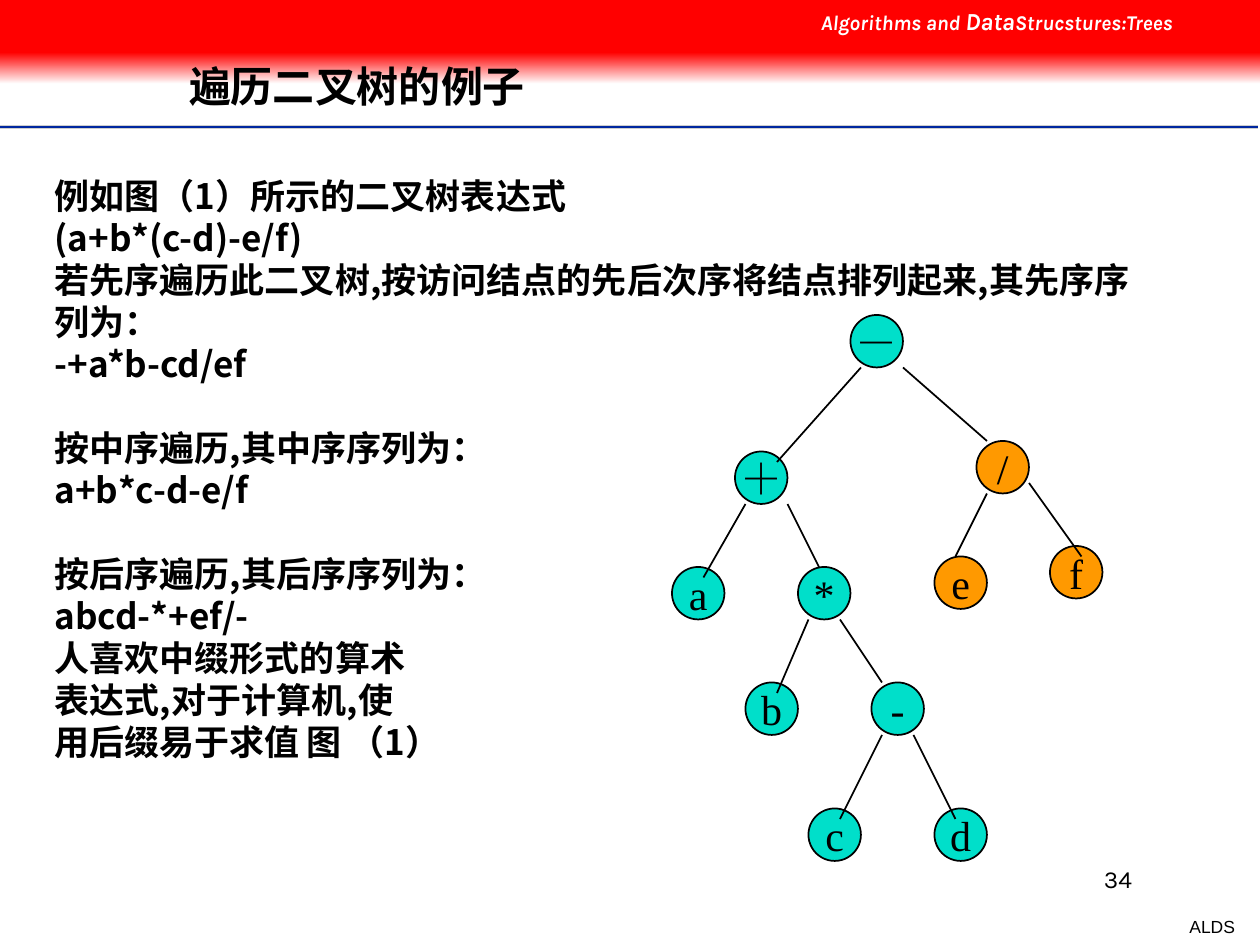
from dataclasses import dataclass

from lxml.etree import SubElement as Sub
from pptx import Presentation
from pptx.dml.color import RGBColor as Rgb
from pptx.enum.shapes import MSO_CONNECTOR as Conn, MSO_SHAPE as Geo
from pptx.enum.text import MSO_ANCHOR as Anchor, MSO_AUTO_SIZE as Auto, PP_ALIGN as Align
from pptx.oxml.ns import qn
from pptx.util import Pt

TEAL, GOLD, RED = "00DFCA", "FF9900", "FF0000"
BLACK, WHITE = "000000", "FFFFFF"
SANS = "Noto Sans CJK SC"
SIZE = 30


@dataclass
class Node:
    text: str
    x: float
    y: float
    fill: str = TEAL


@dataclass
class Edge:
    x1: float
    y1: float
    x2: float
    y2: float
    color: str = BLACK
    width: float = 1


NODES = [
    Node("－", 486, 180), Node("＋", 420, 258), Node("*", 456, 324),
    Node("a", 384, 324), Node("/", 558, 252, GOLD), Node("b", 426, 390),
    Node("-", 498, 390), Node("d", 534, 462), Node("c", 462, 462),
    Node("f", 600, 312, GOLD), Node("e", 534, 318, GOLD),
]
EDGES = [
    Edge(492, 210, 444, 264), Edge(426, 288, 402, 330), Edge(450, 288, 468, 324),
    Edge(462, 354, 444, 396), Edge(480, 354, 504, 390), Edge(522, 420, 546, 468),
    Edge(504, 420, 480, 468), Edge(516, 210, 564, 252), Edge(564, 282, 546, 318),
    Edge(588, 276, 618, 318),
]
RULES = [
    Edge(0, 72.7, 718.6, 72.7, "CECECE", 2),
    Edge(0, 72.7, 718.6, 72.7, "00279F"),
    Edge(0, 74.2, 718.6, 74.2, WHITE),
]
BLOCKS = [
    ["例如图（1）所示的二叉树表达式", "(a+b*(c-d)-e/f)",
     "若先序遍历此二叉树,按访问结点的先后次序将结点排列起来,其先序序列为：", "-+a*b-cd/ef"],
    ["按中序遍历,其中序序列为：", "a+b*c-d-e/f"],
    ["按后序遍历,其后序序列为：", "abcd-*+ef/-", "人喜欢中缀形式的算术",
     "表达式,对于计算机,使", "用后缀易于求值\t图 （1）"],
]


def paint(tone, code: str) -> None:
    """Give a fill or a colour its hex value."""
    if hasattr(tone, "solid"):
        tone.solid()
        tone = tone.fore_color
    tone.rgb = Rgb.from_string(code)


def write(par, text: str, *, size: float, font: str, color: str = BLACK, bold: bool = False,
          italic: bool = False, align=Align.LEFT, before: float = 0, line: float | None = None) -> None:
    """Add a formatted run to a paragraph."""
    par.alignment, par.space_before = align, Pt(before)
    if line:
        par.line_spacing = line if line < 5 else Pt(line)
    run = par.add_run()
    run.text = text
    face = run.font
    face.size, face.name, face.bold, face.italic = Pt(size), font, bold, italic
    paint(face.fill, color)
    Sub(run._r.get_or_add_rPr(), qn("a:ea"), typeface=font)


def place(shape, x: float, y: float, w: float, h: float) -> None:
    """Move and size a shape."""
    shape.left, shape.top, shape.width, shape.height = Pt(x), Pt(y), Pt(w), Pt(h)


def label(slide, x: float, y: float, w: float, h: float, wrap: bool = True):
    """Add a text box and return its first paragraph."""
    frame = slide.shapes.add_textbox(Pt(x), Pt(y), Pt(w), Pt(h)).text_frame
    frame.word_wrap = wrap
    return frame.paragraphs[0]


def form(slide, kind, x: float, y: float, w: float, h: float, fill: str):
    """Add a flat filled shape."""
    shape = slide.shapes.add_shape(kind, Pt(x), Pt(y), Pt(w), Pt(h))
    shape.shadow.inherit = False
    paint(shape.fill, fill)
    return shape


def join(slide, edge: Edge) -> None:
    """Draw one straight line."""
    line = slide.shapes.add_connector(Conn.STRAIGHT, Pt(edge.x1), Pt(edge.y1), Pt(edge.x2), Pt(edge.y2))
    paint(line.line.fill, edge.color)
    line.line.width = Pt(edge.width)
    Sub(line._element.spPr, qn("a:effectLst"))


def dot(slide, node: Node) -> None:
    """Draw one tree node."""
    shape = form(slide, Geo.OVAL, node.x, node.y, SIZE, SIZE, node.fill)
    paint(shape.line.fill, BLACK)
    shape.line.width = Pt(1)
    frame = shape.text_frame
    frame.word_wrap, frame.vertical_anchor = False, Anchor.MIDDLE
    write(frame.paragraphs[0], node.text, size=24, font="Times New Roman", align=Align.CENTER)


def banner(slide) -> None:
    """Draw the red band with its fade and course name."""
    fade = form(slide, Geo.RECTANGLE, 0, 30, 720, 18, RED)
    fade.fill.gradient()
    fade.fill.gradient_angle = 270
    for stop, code in zip(fade.fill.gradient_stops, (RED, WHITE)):
        paint(stop.color, code)
    fade.line.fill.background()
    form(slide, Geo.RECTANGLE, 0, 0, 720, 30, RED).line.fill.background()
    par = label(slide, 462, 0, 258, 24.5)
    for text, size in (("Algorithms and ", 12), ("Data", 14), ("Strucstures:Trees", 12)):
        write(par, text, size=size, font="Karla", color=WHITE, bold=True, italic=True, before=7.5)


def fill_body(body) -> None:
    """Write the traversal text without bullets."""
    place(body, 24, 96, 636, 343.4)
    frame = body.text_frame
    frame.auto_size = Auto.NONE
    par = frame.paragraphs[0]
    for num, block in enumerate(BLOCKS):
        for row, text in enumerate(block):
            if num or row:
                par = frame.add_paragraph()
            write(par, text, size=20, font=SANS, bold=True, line=24, before=24 if num and not row else 0)
            props = par._p.get_or_add_pPr()
            props.set("marL", "0")
            props.set("indent", "0")
            Sub(props, qn("a:buNone"))
            if "\t" in text:
                Sub(Sub(props, qn("a:tabLst")), qn("a:tab"), pos=str(Pt(154)), algn="l")


def fill_title(title) -> None:
    """Write the title and bring it to the front."""
    place(title, 108, 24, 564, 53)
    frame = title.text_frame
    frame.auto_size, frame.vertical_anchor = Auto.NONE, Anchor.MIDDLE
    frame.margin_left = frame.margin_right = frame.margin_top = frame.margin_bottom = 0
    write(frame.paragraphs[0], "遍历二叉树的例子", size=24, font="Arial", bold=True, line=0.9)
    title._element.getparent().append(title._element)


def main() -> None:
    """Build the slide and save it."""
    deck = Presentation()
    deck.slide_width, deck.slide_height = Pt(720), Pt(540)
    slide = deck.slides.add_slide(deck.slide_layouts[1])
    for rule in RULES:
        join(slide, rule)
    write(label(slide, 672.5, 520, 40.3, 19.4, False), "ALDS", size=10, font="Arial",
          align=Align.RIGHT, before=6.2)
    write(label(slide, 516, 490, 138, 36), "34", size=14, font="Karla", align=Align.RIGHT)
    banner(slide)
    fill_body(slide.placeholders[1])
    for node in NODES:
        dot(slide, node)
    for edge in EDGES:
        join(slide, edge)
    fill_title(slide.shapes.title)
    deck.save("out.pptx")


if __name__ == "__main__":
    main()
